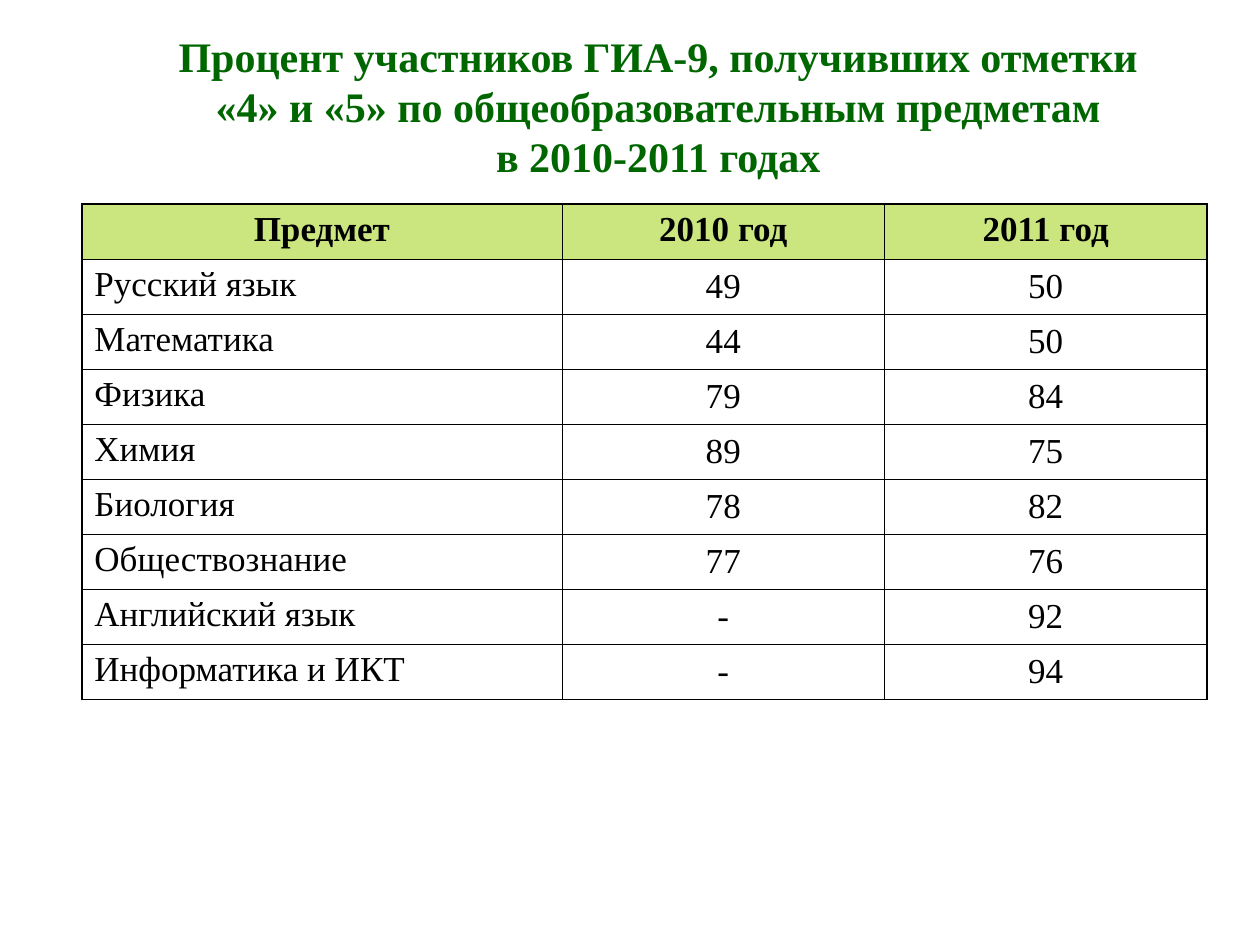
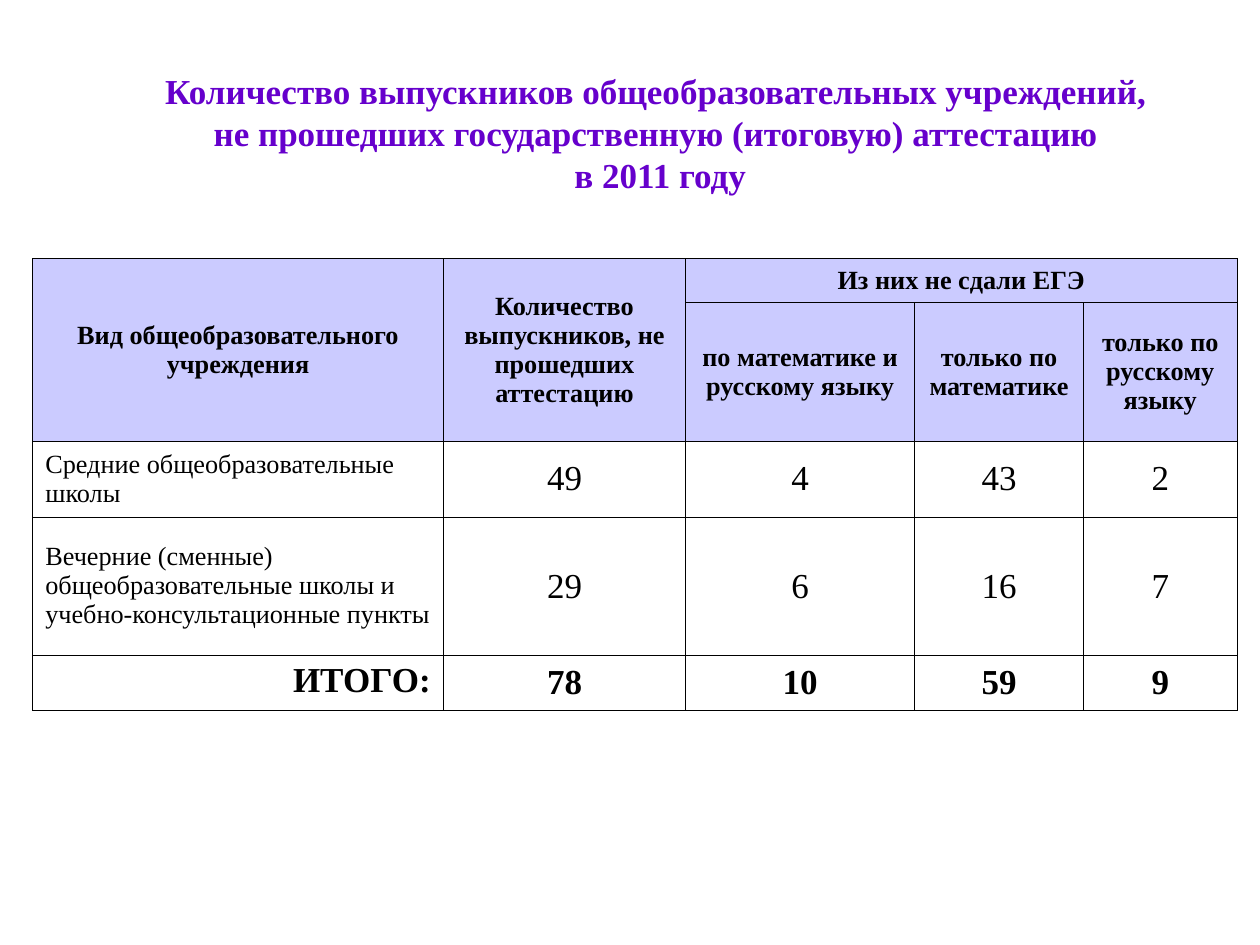
from lxml.etree import SubElement
from pptx import Presentation
from pptx.dml.color import RGBColor
from pptx.enum.text import MSO_ANCHOR as Anchor, MSO_AUTO_SIZE as AutoSize, PP_ALIGN as Align
from pptx.oxml import parse_xml
from pptx.oxml.ns import nsdecls, qn
from pptx.util import Cm, Pt

BLACK = RGBColor(0x00, 0x00, 0x00)
GREEN = RGBColor(0x00, 0x66, 0x00)
LIME = RGBColor(0x99, 0xCC, 0x00)
VIOLET = RGBColor(0x66, 0x00, 0xCC)
LAVENDER = RGBColor(0x99, 0x99, 0xFF)

FONT = "Times New Roman"
THIN = 0.45
THICK = 0.96


def set_attributes(target, values):
    for name, value in values.items():
        setattr(target, name, value)


class SlideBuilder:
    def __init__(self, presentation):
        self.presentation = presentation
        self.slide = None

    def add_slide(self):
        self.slide = self.presentation.slides.add_slide(self.presentation.slide_layouts[6])

    def set_text(self, text_frame, text, size, color=BLACK, bold=False, align=Align.CENTER):
        text_frame.text = text
        for paragraph in text_frame.paragraphs:
            paragraph.alignment = align
            set_attributes(paragraph.font, {"name": FONT, "size": Pt(size), "bold": bold})
            paragraph.font.color.rgb = color

    def add_title(self, box, text, size, color):
        shape = self.slide.shapes.add_textbox(*map(Cm, box))
        self.set_text(shape.text_frame, text, size, color, bold=True)
        set_attributes(shape.text_frame, {
            "word_wrap": True,
            "vertical_anchor": Anchor.MIDDLE,
            "auto_size": AutoSize.SHAPE_TO_FIT_TEXT,
        })

    def add_table(self, left, top, widths, heights, outer_border=THIN):
        row_count, column_count = len(heights), len(widths)
        frame = self.slide.shapes.add_table(
            row_count, column_count, Cm(left), Cm(top), Cm(sum(widths)), Cm(sum(heights)))
        table = frame.table
        set_attributes(table, {"first_row": False, "horz_banding": False})
        for column, width in zip(table.columns, widths):
            column.width = Cm(width)
        for row, height in zip(table.rows, heights):
            row.height = Cm(height)
        for row in range(row_count):
            for column in range(column_count):
                edges = {"L": column == 0, "R": column == column_count - 1,
                         "T": row == 0, "B": row == row_count - 1}
                cell = table.cell(row, column)
                cell.fill.background()
                self.add_borders(cell, {side: outer_border if is_outer else THIN
                                        for side, is_outer in edges.items()})
        return table

    def add_borders(self, cell, widths):
        properties = cell._tc.get_or_add_tcPr()
        for position, (side, width) in enumerate(widths.items()):
            properties.insert(position, parse_xml(
                f'<a:ln{side} {nsdecls("a")} w="{Pt(width)}"><a:solidFill>'
                f'<a:srgbClr val="{BLACK}"/></a:solidFill></a:ln{side}>'))

    def fill_cell(self, cell, text, size, anchor=Anchor.MIDDLE, **text_format):
        self.set_text(cell.text_frame, text, size, **text_format)
        cell.vertical_anchor = anchor

    def shade_row(self, table, row, color):
        for cell in table.rows[row].cells:
            cell.fill.solid()
            cell.fill.fore_color.rgb = color
            color_element = cell._tc.tcPr.find(qn("a:solidFill"))[0]
            SubElement(color_element, qn("a:alpha"), val="50000")


def add_marks_slide(builder):
    headers = ["Предмет", "2010 год", "2011 год"]
    subjects = [
        ("Русский язык", "49", "50"),
        ("Математика", "44", "50"),
        ("Физика", "79", "84"),
        ("Химия", "89", "75"),
        ("Биология", "78", "82"),
        ("Обществознание", "77", "76"),
        ("Английский язык", "-", "92"),
        ("Информатика и ИКТ", "-", "94"),
    ]
    builder.add_slide()
    builder.add_title(
        (2.39, 0.48, 21.97, 3.3),
        "Процент участников ГИА-9, получивших отметки \n"
        "«4» и «5» по общеобразовательным предметам \n"
        "в 2010-2011 годах ", 24, GREEN)
    table = builder.add_table(
        1.65, 4.11, [9.68, 6.5, 6.5], [1.11] * (len(subjects) + 1), THICK)
    builder.shade_row(table, 0, LIME)
    for cell, header in zip(table.rows[0].cells, headers):
        builder.fill_cell(cell, header, 20, Anchor.TOP, bold=True)
    for row, (subject, *percents) in enumerate(subjects, start=1):
        builder.fill_cell(table.cell(row, 0), subject, 20, Anchor.TOP, align=Align.LEFT)
        for column, percent in enumerate(percents, start=1):
            builder.fill_cell(table.cell(row, column), percent, 20)


def add_failures_slide(builder):
    headers = {
        (0, 0): "Вид общеобразовательного\nучреждения",
        (0, 1): "Количество выпускников, не прошедших аттестацию",
        (0, 2): "Из них не сдали ЕГЭ",
        (1, 2): "по математике и русскому языку",
        (1, 3): "только по математике",
        (1, 4): "только по русскому языку",
    }
    schools = [
        ("Средние общеобразовательные школы", "49", "4", "43", "2"),
        ("Вечерние (сменные) общеобразовательные школы и учебно-консультационные пункты",
         "29", "6", "16", "7"),
        ("ИТОГО:", "78", "10", "59", "9"),
    ]
    label_format = {"size": 15, "align": Align.LEFT}
    total_format = {"size": 20, "align": Align.RIGHT, "anchor": Anchor.TOP, "bold": True}

    builder.add_slide()
    builder.add_title(
        (2.49, 1.27, 21.64, 2.79),
        "Количество выпускников общеобразовательных учреждений, \n"
        "не прошедших государственную (итоговую) аттестацию \n"
        "в 2011 году", 20, VIOLET)
    table = builder.add_table(
        0.66, 5.21, [8.28, 4.88, 4.62, 3.4, 3.1], [0.89, 2.79, 1.52, 2.79, 1.11])
    for row in range(2):
        builder.shade_row(table, row, LAVENDER)
    for first, last in [((0, 0), (1, 0)), ((0, 1), (1, 1)), ((0, 2), (0, 4))]:
        table.cell(*first).merge(table.cell(*last))
    for place, header in headers.items():
        builder.fill_cell(table.cell(*place), header, 15, bold=True)
    for row, (school, *counts) in enumerate(schools, start=2):
        is_total = row == len(schools) + 1
        builder.fill_cell(table.cell(row, 0), school, **(total_format if is_total else label_format))
        for column, count in enumerate(counts, start=1):
            builder.fill_cell(table.cell(row, column), count, 20, bold=is_total)


def main():
    presentation = Presentation()
    set_attributes(presentation, {"slide_width": Cm(25.4), "slide_height": Cm(19.05)})
    builder = SlideBuilder(presentation)
    add_marks_slide(builder)
    add_failures_slide(builder)
    presentation.save("out.pptx")


if __name__ == "__main__":
    main()
